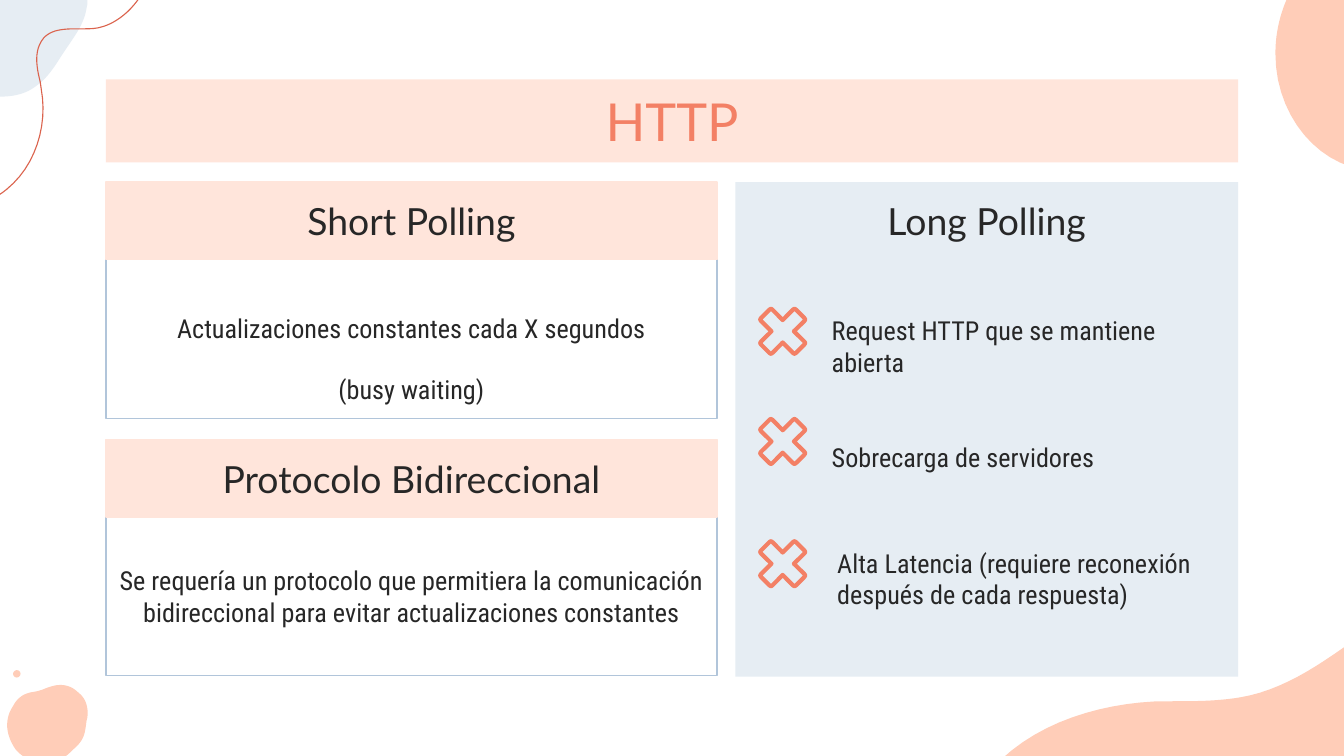
"""Build the HTTP polling slide."""
import pptx
import pptx.dml.color
import pptx.enum.shapes
import pptx.enum.text
import pptx.util

Pt = pptx.util.Pt
RGBColor = pptx.dml.color.RGBColor
ALIGN = pptx.enum.text.PP_ALIGN
SHAPE = pptx.enum.shapes.MSO_SHAPE

WHITE = RGBColor(0xFF, 0xFF, 0xFF)
INK = RGBColor(0x27, 0x27, 0x27)
CORAL = RGBColor(0xF3, 0x80, 0x65)
RED = RGBColor(0xDB, 0x63, 0x4D)
PEACH = RGBColor(0xFF, 0xCD, 0xB8)
BLUSH = RGBColor(0xFF, 0xE5, 0xDB)
MIST = RGBColor(0xE6, 0xED, 0xF3)
STEEL = RGBColor(0xB1, 0xC5, 0xDA)

deck = pptx.Presentation()
deck.slide_width, deck.slide_height = Pt(720), Pt(405)
page = deck.slides.add_slide(deck.slide_layouts[6])


def add_text(text, left, top, width, height, *, fill=None, line=None, font="Lato",
             size=20, color=INK, align=ALIGN.CENTER, insets=(7.2, 7.2, 7.2, 7.2), gap=0):
    frame = (Pt(left), Pt(top), Pt(width), Pt(height))
    if fill is None:
        box = page.shapes.add_textbox(*frame)
    else:
        box = page.shapes.add_shape(SHAPE.RECTANGLE, *frame)
        box.shadow.inherit = False
        box.fill.solid()
        box.fill.fore_color.rgb = fill
        if line is None:
            box.line.fill.background()
        else:
            box.line.color.rgb = line
            box.line.width = Pt(0.75)
    body = box.text_frame
    body.word_wrap = True
    body.vertical_anchor = pptx.enum.text.MSO_ANCHOR.MIDDLE
    body.margin_left, body.margin_top, body.margin_right, body.margin_bottom = map(Pt, insets)
    for index, words in enumerate(text.split("\n")):
        para = body.add_paragraph() if index else body.paragraphs[0]
        para.alignment = align
        para.space_before = Pt(gap if index else 0)
        span = para.add_run()
        span.text = words
        span.font.name = font
        span.font.size = Pt(size)
        span.font.color.rgb = color


def add_curve(start, segments, *, fill=None, line=None, width=1, closed=True):
    points = [start]
    for segment in segments:
        if len(segment) == 2:
            points.append(segment)
            continue
        x0, y0 = points[-1]
        x1, y1, x2, y2, x3, y3 = segment
        for step in range(1, 13):
            t = step / 12
            a, b, c, d = (1 - t) ** 3, 3 * t * (1 - t) ** 2, 3 * t * t * (1 - t), t ** 3
            points.append((a * x0 + b * x1 + c * x2 + d * x3,
                           a * y0 + b * y1 + c * y2 + d * y3))
    points = [(Pt(x), Pt(y)) for x, y in points]
    builder = page.shapes.build_freeform(*points[0])
    builder.add_line_segments(points[1:], close=closed)
    curve = builder.convert_to_shape()
    curve.shadow.inherit = False
    if fill is None:
        curve.fill.background()
    else:
        curve.fill.solid()
        curve.fill.fore_color.rgb = fill
    if line is None:
        curve.line.fill.background()
    else:
        curve.line.color.rgb = line
        curve.line.width = Pt(width)


panel = page.shapes.add_shape(SHAPE.RECTANGLE, Pt(394), Pt(97.5), Pt(269.3), Pt(265))
dot = page.shapes.add_shape(SHAPE.OVAL, Pt(7), Pt(359), Pt(4), Pt(4))
for shape, color in ((panel, MIST), (dot, PEACH)):
    shape.shadow.inherit = False
    shape.fill.solid()
    shape.fill.fore_color.rgb = color
    shape.line.fill.background()

add_curve((723.6, 344.2), [
    (705.6, 357.1, 686.2, 370.1, 663.8, 373.7), (655.2, 375.1, 645.8, 375.6, 636.5, 375.6),
    (618.5, 375.8), (589, 377.3, 558, 386.6, 536.4, 406.8),
    (530.6, 411.8, 526.3, 417.6, 522.7, 424), (723.6, 424)], fill=PEACH)
add_curve((723.6, 89.3), [
    (700.6, 82.1, 683.3, 57.6, 683.3, 28.8), (683.3, 16.6, 686.2, 5.8, 691.2, -4.3),
    (723.6, -4.3)], fill=PEACH)
add_curve((46.8, 2.2), [
    (46.8, 0), (0, 0), (0, 51.8), (7.2, 51.8, 13.7, 50.4, 19.4, 46.1),
    (26.6, 41, 30.2, 33.8, 34.6, 27.4), (38.9, 20.9, 44.6, 13.7, 46.1, 5.8)], fill=MIST)
add_curve((42.5, 371.5), [
    (41, 370.1, 39.6, 369, 38.2, 368.3), (33.1, 365.8, 28.1, 367.2, 23, 369.4),
    (20.9, 370.1, 19.4, 370.5, 17.3, 370.8), (13, 371.5, 9.4, 373.7, 7.2, 378),
    (2.2, 385.2, 2.9, 393.8, 8.6, 401.8), (10.8, 404.3, 14.4, 406.8, 17.3, 407.5),
    (26.6, 410.4, 33.8, 407.5, 38.9, 401.8), (42.5, 398.9, 44.6, 396, 45.4, 392.4),
    (46.1, 389.5, 46.1, 386.6, 46.8, 384.5), (47.5, 379.4, 46.1, 374.4, 42.5, 371.5)],
    fill=PEACH)
add_curve((85, -27.4), [
    (82, -18.7, 79.9, -9.4, 74.9, -1.4), (69.1, 7.2, 61.2, 13, 53.3, 14.8),
    (50.4, 15.5, 46.8, 15.5, 43.9, 15.5), (41, 15.5),
    (34.6, 15.5, 27.4, 15.8, 23.4, 20.5), (18, 27, 19.6, 36, 21.6, 43.9), (22.1, 47.5),
    (25.9, 67.7, 18.7, 89.3, 3.6, 101.5), (-5, 108.7, -16.6, 112.3, -27.4, 112.3),
    (-36, 112.3, -44.6, 110.2, -52.2, 105.5)], line=RED, width=0.6, closed=False)

add_text("HTTP", 56.8, 42.5, 606.5, 44.5, fill=BLUSH, size=28, color=CORAL)
add_text("Long Polling", 394, 97.5, 269.3, 41.5)

cards = (
    (97.5, "Short Polling", "Actualizaciones constantes cada X segundos\n(busy waiting)",
     (21.6, 28.8, 21.6, 7.2)),
    (235.5, "Protocolo Bidireccional",
     "Se requería un protocolo que permitiera la comunicación bidireccional"
     " para evitar actualizaciones constantes", (7.2, 7.2, 7.2, 7.2)),
)
for top, heading, detail, insets in cards:
    add_text(detail, 56.8, top + 41, 327.3, 85.6, fill=WHITE, line=STEEL,
             font="Roboto Condensed", size=14, insets=insets, gap=16)
    add_text(heading, 56.8, top, 327.3, 41.5, fill=BLUSH, line=BLUSH)

arm = [(5.3, -11.4), (6.3, -12.2, 6.3, -12.2, 7.3, -11.4), (11.4, -7.3),
       (12.2, -6.3, 12.2, -6.3, 11.4, -5.3), (6, 0)]
turns = ((1, 0), (0, 1), (-1, 0), (0, -1))
drawbacks = (
    (177.5, 438.5, 161.3, "Request HTTP que se mantiene abierta"),
    (236.5, 438.5, 221, "Sobrecarga de servidores"),
    (302, 441.4, 285.8, "Alta Latencia (requiere reconexión después de cada respuesta)"),
)
for center, left, top, drawback in drawbacks:
    outline = []
    for cos, sin in turns:
        for segment in arm:
            turned = []
            for x, y in zip(segment[::2], segment[1::2]):
                turned += [419.3 + x * cos - y * sin, center + x * sin + y * cos]
            outline.append(tuple(turned))
    add_curve((419.3, center - 6), outline, line=CORAL, width=2.25)
    add_text(drawback, left, top, 221.8, 48, font="Roboto Condensed", size=14,
             align=ALIGN.LEFT)

deck.save("out.pptx")
